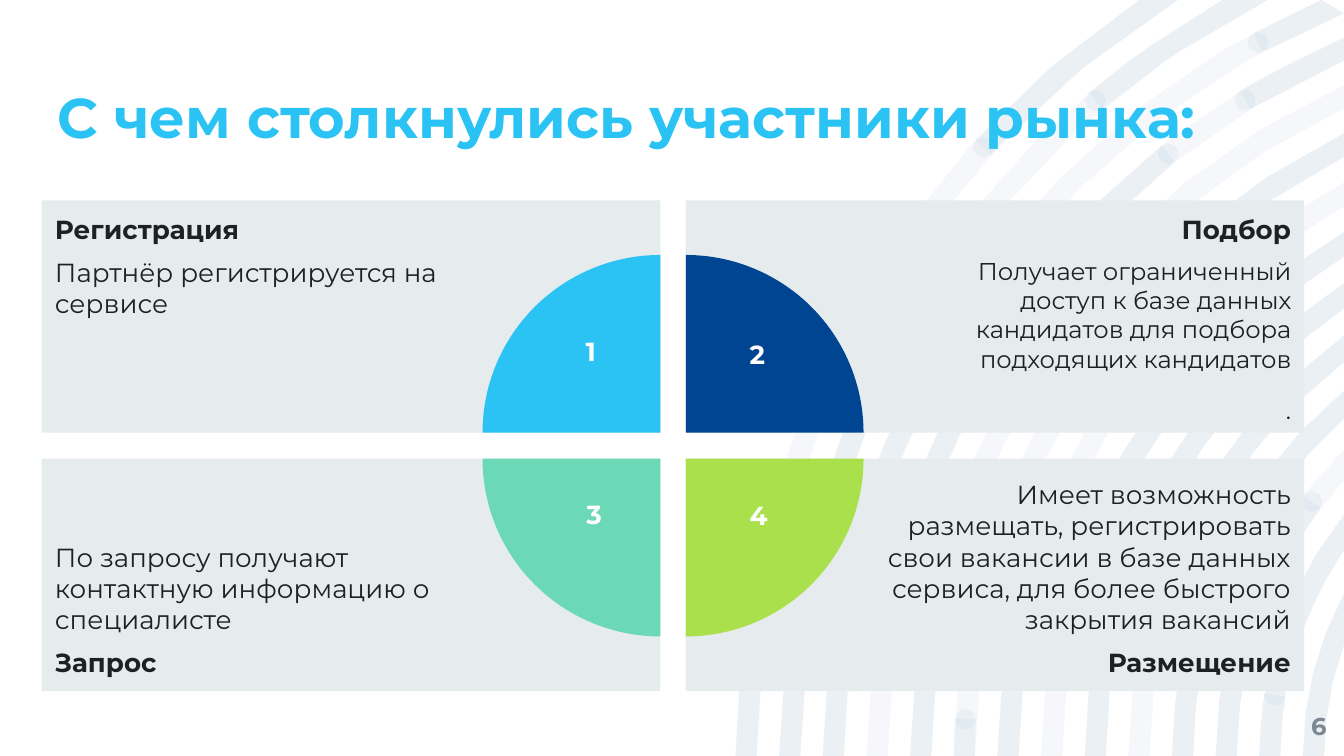
from math import acos, asin, ceil, cos, degrees, radians, sin

from lxml.etree import SubElement
from pptx import Presentation
from pptx.dml.color import RGBColor
from pptx.enum.shapes import MSO_SHAPE as Preset
from pptx.enum.text import MSO_ANCHOR as Anchor, MSO_AUTO_SIZE as AutoSize, PP_ALIGN as Align
from pptx.oxml.ns import qn
from pptx.util import Cm, Pt

COLORS = {
    "title": "2AC3F3", "ink": "1E2124", "number": "7C8894", "card": "E6ECEE",
    "sky": "2AC3F3", "navy": "004591", "lime": "A9E04B", "mint": "6BD8B6", "white": "FFFFFF",
}
FONT = "Montserrat"
SLIDE_W, SLIDE_H = 25.4, 14.29
RING_CENTER_X, RING_RADIUS, RING_STEP, RING_WIDTH, RING_COUNT = 31.1, 17.2, 0.825, 0.4, 14
DOT_RADIUS = 0.2
ARC_STEP = 8
EDGE = 90
RING_SEGMENTS = [
    [(0, 18.5), (42.6, EDGE)],
    [(0, 23.9), (50, EDGE)],
    [(0, 6.1), (15.1, 34.6), (61.5, EDGE)],
    [(19.3, 51.6), (58.6, EDGE)],
    [(0, 22.8)],
    [(0, 3.1), (33.7, EDGE)],
    [(0, 14.4), (34.5, 52.5)],
    [(8.9, EDGE)],
    [(0, EDGE)],
    [(20.2, EDGE)],
    [(0, 11.4), (29.1, EDGE)],
    [(0, 37.3)],
    [(0, 9.3), (17.9, EDGE)],
    [(0, EDGE)],
]
CARD_LEFTS, CARD_TOPS, CARD_W, CARD_H = (0.79, 12.96), (3.79, 8.67), 11.69, 4.39
PIE_SIZE = 6.72
CARDS = [
    (0, 0, [("Регистрация", 14, True, 0, 0),
            ("Партнёр регистрируется на сервисе", 14, False, 6, 6)]),
    (1, 0, [("Подбор", 14, True, 0, 0),
            ("Получает ограниченный доступ к базе данных кандидатов "
             "для подбора подходящих кандидатов", 13, False, 6, 6),
            (".", 13, False, 6, 6)]),
    (0, 1, [("По запросу получают контактную информацию о специалисте", 14, False, 6, 0),
            ("Запрос", 14, True, 6, 6)]),
    (1, 1, [("Имеет возможность размещать, регистрировать свои вакансии в базе данных "
             "сервиса, для более быстрого закрытия вакансий", 14, False, 0, 0),
            ("Размещение", 14, True, 6, 6)]),
]
QUARTERS = [(0, 0, 0, "sky"), (1, 0, 90, "navy"), (1, 1, 180, "lime"), (0, 1, 270, "mint")]
STEP_NUMBERS = [
    ("1", 10.67, 6.22, 0.99, 1.24), ("3", 10.57, 9.3, 1.32, 1.24),
    ("4", 13.82, 9.32, 1.04, 1.19), ("2", 13.82, 6.27, 0.99, 1.24),
]


def paint(shape, color):
    shape.shadow.inherit = False
    shape.fill.solid()
    shape.fill.fore_color.rgb = RGBColor.from_string(COLORS[color])
    shape.line.fill.background()


def style_paragraph(paragraph, size, color, bold, align):
    paragraph.alignment = align
    for run in paragraph.runs:
        run.font.name = FONT
        run.font.size = Pt(size)
        run.font.bold = bold
        run.font.color.rgb = RGBColor.from_string(COLORS[color])


def set_insets(frame, left, top, right, bottom):
    frame.margin_left, frame.margin_top = Cm(left), Cm(top)
    frame.margin_right, frame.margin_bottom = Cm(right), Cm(bottom)


def polar(radius, angle):
    return RING_CENTER_X - radius * cos(angle), SLIDE_H - radius * sin(angle)


def arc(radius, start, end):
    limit = min(radians(end), asin(min(1, SLIDE_H / radius)),
                acos((RING_CENTER_X - SLIDE_W) / radius))
    first = radians(start)
    steps = max(1, ceil(degrees(limit - first) / ARC_STEP))
    return [polar(radius, first + (limit - first) * step / steps) for step in range(steps + 1)]


def ring_outline(ring, start, end):
    outer = RING_RADIUS - RING_STEP * ring
    return arc(outer, start, end) + arc(outer - RING_WIDTH, start, end)[::-1]


def dot_outline(ring, angle):
    x, y = polar(RING_RADIUS - RING_STEP * ring - RING_WIDTH / 2, radians(angle))
    return [(x + DOT_RADIUS * cos(radians(turn)), y + DOT_RADIUS * sin(radians(turn)))
            for turn in range(0, 360, 45)]


def add_faint_layer(slide, outlines):
    contours = [[(Cm(x), Cm(y)) for x, y in outline] for outline in outlines]
    builder = slide.shapes.build_freeform(*contours[0][0])
    builder.add_line_segments(contours[0][1:], close=True)
    for contour in contours[1:]:
        builder.move_to(*contour[0])
        builder.add_line_segments(contour[1:], close=True)
    layer = builder.convert_to_shape()
    paint(layer, "navy")
    tint = next(layer._element.spPr.iter(qn("a:srgbClr")))
    SubElement(tint, qn("a:alpha")).set("val", "4000")


def add_rings(slide):
    segments = [(ring, start, end) for ring, spans in enumerate(RING_SEGMENTS)
                for start, end in spans]
    add_faint_layer(slide, [ring_outline(ring, 0, EDGE) for ring in range(RING_COUNT)])
    add_faint_layer(slide, [ring_outline(*segment) for segment in segments])
    add_faint_layer(slide, [dot_outline(ring, angle) for ring, *ends in segments
                            for angle in ends if angle not in (0, EDGE)])


def set_title(slide, text):
    title = slide.shapes.title
    title.left, title.top, title.width, title.height = Cm(1.09), Cm(1.75), Cm(23.11), Cm(1.09)
    frame = title.text_frame
    frame.text = text
    frame.word_wrap = True
    frame.auto_size = AutoSize.NONE
    frame.vertical_anchor = Anchor.BOTTOM
    set_insets(frame, 0, 0, 0, 0)
    frame.paragraphs[0].line_spacing = 0.9
    style_paragraph(frame.paragraphs[0], 30, "title", True, Align.LEFT)
    slide.shapes._spTree.append(title._element)


def add_label(slide, text, left, top, width, height, size, color, align):
    frame = slide.shapes.add_textbox(Cm(left), Cm(top), Cm(width), Cm(height)).text_frame
    frame.text = text
    frame.word_wrap = True
    style_paragraph(frame.paragraphs[0], size, color, True, align)
    return frame


def add_card(slide, column, row, lines):
    card = slide.shapes.add_shape(Preset.RECTANGLE, Cm(CARD_LEFTS[column]), Cm(CARD_TOPS[row]),
                                  Cm(CARD_W), Cm(CARD_H))
    paint(card, "card")
    frame = card.text_frame
    frame.word_wrap = True
    frame.vertical_anchor = (Anchor.TOP, Anchor.BOTTOM)[row]
    left, right = ((0.25, 3.81), (3.81, 0.25))[column]
    set_insets(frame, left, 0.25, right, 0.25)
    frame.text = "\n".join(line[0] for line in lines)
    for paragraph, (_, size, bold, before, after) in zip(frame.paragraphs, lines):
        paragraph.space_before, paragraph.space_after = Pt(before), Pt(after)
        style_paragraph(paragraph, size, "ink", bold, (Align.LEFT, Align.RIGHT)[column])


def add_quarter(slide, column, row, rotation, color):
    center_x = (CARD_LEFTS[0] + CARD_W, CARD_LEFTS[1])[column]
    center_y = (CARD_TOPS[0] + CARD_H, CARD_TOPS[1])[row]
    quarter = slide.shapes.add_shape(Preset.PIE, Cm(center_x - PIE_SIZE / 2),
                                     Cm(center_y - PIE_SIZE / 2), Cm(PIE_SIZE), Cm(PIE_SIZE))
    quarter.adjustments[0], quarter.adjustments[1] = 108, 162
    quarter.rotation = rotation
    paint(quarter, color)


def main():
    deck = Presentation()
    deck.slide_width, deck.slide_height = Cm(SLIDE_W), Cm(SLIDE_H)
    slide = deck.slides.add_slide(deck.slide_layouts.get_by_name("Title Only"))
    add_rings(slide)
    set_title(slide, "С чем столкнулись участники рынка:")
    page = add_label(slide, "6", 23.55, 13.18, 1.52, 1.09, 13, "number", Align.RIGHT)
    page.vertical_anchor = Anchor.MIDDLE
    set_insets(page, 0, 0, 0, 0)
    for card in CARDS:
        add_card(slide, *card)
    for quarter in QUARTERS:
        add_quarter(slide, *quarter)
    for number in STEP_NUMBERS:
        add_label(slide, *number, 14, "white", Align.CENTER)
    deck.save("out.pptx")


if __name__ == "__main__":
    main()
